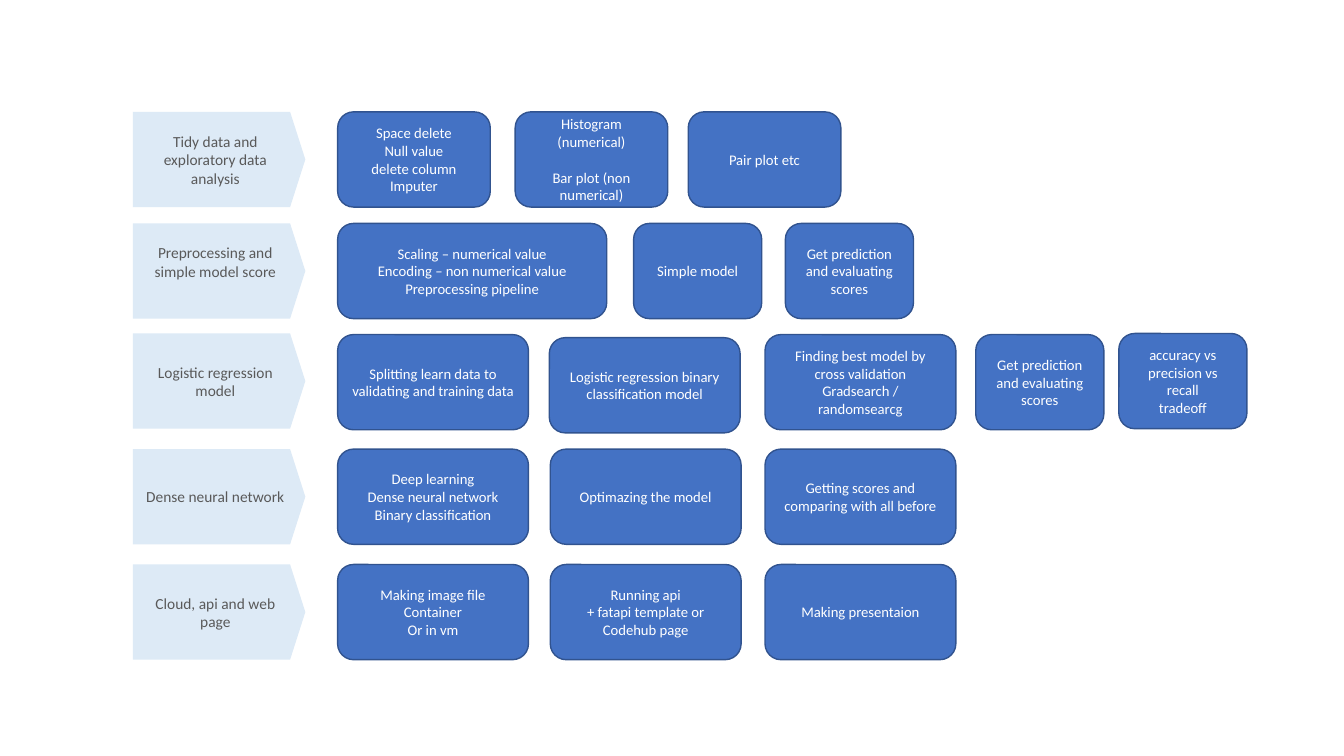
from pptx import Presentation
from pptx.dml.color import RGBColor
from pptx.enum.shapes import MSO_SHAPE
from pptx.enum.text import MSO_ANCHOR, PP_ALIGN
from pptx.util import Pt

PENTAGON = MSO_SHAPE.PENTAGON
ROUNDED = MSO_SHAPE.ROUNDED_RECTANGLE
MIDDLE = MSO_ANCHOR.MIDDLE
CENTER = PP_ALIGN.CENTER

COLORS = {"stage": "DDEAF6", "stage_text": "595959",
          "step": "4472C4", "step_line": "31538F", "step_text": "FFFFFF"}
FONT = "Calibri"

STAGE_LEFT, STAGE_WIDTH = 95, 123.1
ROW_HEIGHT = 68
SMALL, MEDIUM, LARGE, WIDE = 91.5, 109, 136.3, 192.2
INSET = 3.6
LIFT = 13.4  # extra bottom inset that raises a stage label by half a line
PARAGRAPH_GAP = 12.8

# Each stage: name, top, lift of its label, steps
# Each step: left, width, drop below the stage top, gap between paragraphs, lines
STAGES = [
    ("Tidy data and exploratory data analysis", 79.9, 0, [
        (241.2, MEDIUM, 0, 0,
         ["Space delete", "Null value", "delete column", "Imputer"]),
        (368, MEDIUM, 0, PARAGRAPH_GAP,
         ["Histogram (numerical)", "Bar plot (non numerical)"]),
        (491.6, MEDIUM, 0, 0, ["Pair plot etc"]),
    ]),
    ("Preprocessing and simple model score", 159.6, LIFT, [
        (241.2, WIDE, 0, 0,
         ["Scaling – numerical value", "Encoding – non numerical value",
          "Preprocessing pipeline"]),
        (452.6, SMALL, 0, 0, ["Simple model"]),
        (561, SMALL, 0, 0, ["Get prediction and evaluating scores"]),
    ]),
    ("Logistic regression model", 238.2, 0, [
        (241.2, LARGE, 0.8, 0,
         ["Splitting learn data to validating and training data"]),
        (392.4, LARGE, 3, 0,
         ["Logistic regression binary classification model"]),
        (546.5, LARGE, 0.8, 0,
         ["Finding best model by cross validation", "Gradsearch / randomsearcg"]),
        (697, SMALL, 0.8, 0, ["Get prediction and evaluating scores"]),
        (799.2, SMALL, 0, 0, ["accuracy vs precision vs recall", "tradeoff"]),
    ]),
    ("Dense neural network", 320.8, 0, [
        (241.2, LARGE, 0, 0,
         ["Deep learning", "Dense neural network", "Binary classification"]),
        (393.1, LARGE, 0, 0, ["Optimazing the model"]),
        (546.5, LARGE, 0, 0, ["Getting scores and comparing with all before"]),
    ]),
    ("Cloud, api and web page", 403.2, 0, [
        (241.2, LARGE, 0, 0, ["Making image file", "Container", "Or in vm"]),
        (393.1, LARGE, 0, 0,
         ["Running api", "+ fatapi template or", "Codehub page"]),
        (546.5, LARGE, 0, 0, ["Making presentaion"]),
    ]),
]


def color(name):
    """Return the named colour."""
    return RGBColor.from_string(COLORS[name])


def add_box(slide, preset, left, top, width, role, lines, size, gap=0):
    """Add a filled shape with centred lines of text."""
    box = slide.shapes.add_shape(
        preset, Pt(left), Pt(top), Pt(width), Pt(ROW_HEIGHT))
    box.shadow.inherit = False
    box.fill.solid()
    box.fill.fore_color.rgb = color(role)
    frame = box.text_frame
    frame.word_wrap = True
    frame.vertical_anchor = MIDDLE
    frame.text = "\n".join(lines)
    for index, paragraph in enumerate(frame.paragraphs):
        paragraph.alignment = CENTER
        paragraph.font.name = FONT
        paragraph.font.size = Pt(size)
        paragraph.font.color.rgb = color(role + "_text")
        if gap and index:
            paragraph.space_before = Pt(gap)
    return box


def add_stage(slide, name, top, lift):
    """Add the pointed label that opens a row."""
    stage = add_box(slide, PENTAGON, STAGE_LEFT, top, STAGE_WIDTH,
                    "stage", [name], 11)
    stage.adjustments[0] = 0.16
    stage.line.fill.background()
    stage.text_frame.margin_bottom = Pt(INSET + lift)


def add_step(slide, left, top, width, gap, lines):
    """Add one outlined step of a row."""
    step = add_box(slide, ROUNDED, left, top, width, "step", lines, 10.5, gap)
    step.line.color.rgb = color("step_line")
    step.line.width = Pt(1)


presentation = Presentation()
presentation.slide_width, presentation.slide_height = Pt(960), Pt(540)
slide = presentation.slides.add_slide(presentation.slide_layouts[6])

for name, top, lift, steps in STAGES:
    add_stage(slide, name, top, lift)
    for left, width, drop, gap, lines in steps:
        add_step(slide, left, top + drop, width, gap, lines)

presentation.save("out.pptx")
